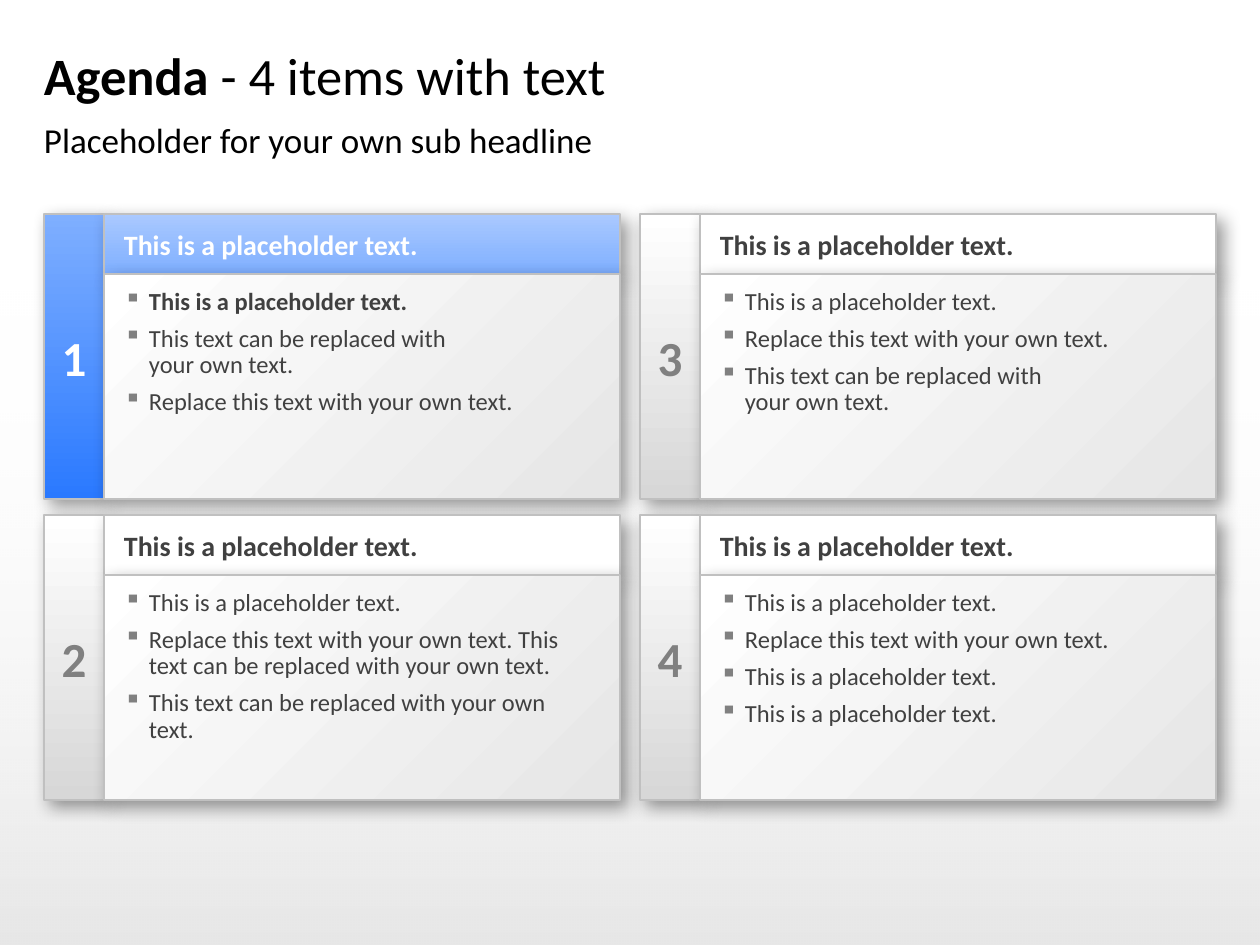
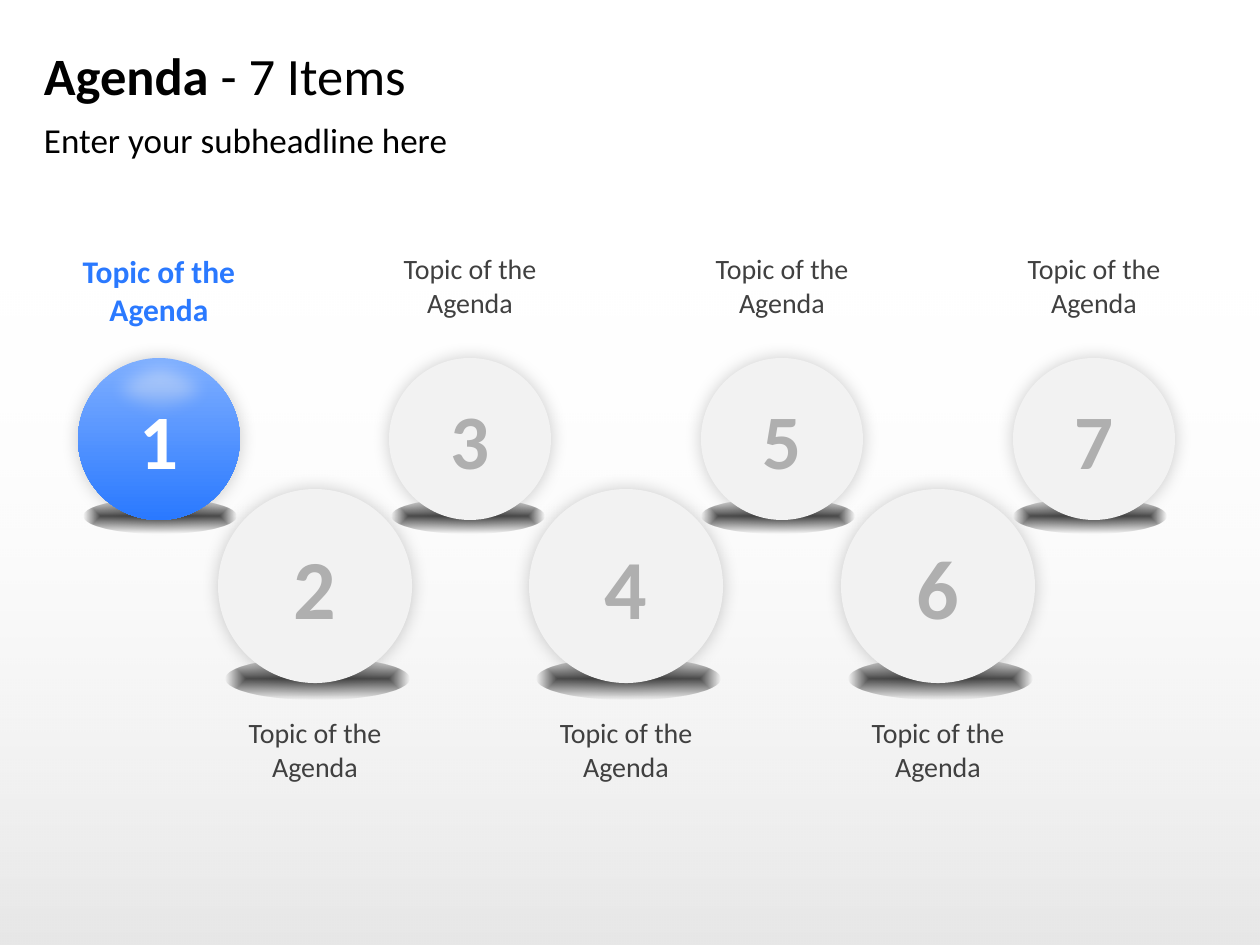
"""Build two agenda slides: four text cards and seven numbered spheres."""
from collections import namedtuple

from pptx import Presentation
from pptx import util as u
from pptx.dml.color import RGBColor
from pptx.enum import shapes, text
from pptx.oxml import parse_xml
from pptx.oxml.ns import nsdecls

FONT = "Calibri"
BLACK = RGBColor(0x00, 0x00, 0x00)
WHITE = RGBColor(0xFF, 0xFF, 0xFF)
BLUE = RGBColor(0x2A, 0x79, 0xFF)
MID_BLUE = RGBColor(0x7F, 0xAF, 0xFF)
PALE_BLUE = RGBColor(0xAA, 0xC9, 0xFF)
TEXT_GREY = RGBColor(0x40, 0x40, 0x40)
NUMBER_GREY = RGBColor(0x80, 0x80, 0x80)
SPHERE_NUMBER = RGBColor(0xAF, 0xAF, 0xAF)
BORDER = RGBColor(0xC0, 0xC0, 0xC0)
TAB_GREY = RGBColor(0xD7, 0xD7, 0xD7)
GLOSS_GREY = RGBColor(0xDD, 0xDD, 0xDD)
CARD_GREY = RGBColor(0xE6, 0xE6, 0xE6)
SPHERE_GREY = RGBColor(0xF2, 0xF2, 0xF2)

Gradient = namedtuple("Gradient", "start end angle start_alpha end_alpha", defaults=(100, 100))
Shadow = namedtuple("Shadow", "alpha blur distance angle")
CardStyle = namedtuple("CardStyle", "tab number header heading")
Row = namedtuple("Row", "left top size number_size label_top base base_top base_shifts numbers")

PAGE_FADE = Gradient(BLACK, WHITE, 270, 10, 0)
CARD_FILL = Gradient(CARD_GREY, WHITE, 225)
BASE_FILL = Gradient(BLACK, BLACK, None, 70, 0)
SPHERE_FILL = Gradient(MID_BLUE, BLUE, 90)
GLOSS_FILL = Gradient(GLOSS_GREY, WHITE, 270, 0, 68)
CARD_SHADOW = Shadow(40, 10, 5, 45)
SPHERE_SHADOW = Shadow(20, 10, 0, 315)
ACTIVE = CardStyle(Gradient(BLUE, MID_BLUE, 270), WHITE, Gradient(PALE_BLUE, MID_BLUE, 90), WHITE)
PLAIN = CardStyle(Gradient(TAB_GREY, WHITE, 270), NUMBER_GREY, WHITE, TEXT_GREY)

HEADING = "This is a placeholder text."
REPLACE = "Replace this text with your own text."
BROKEN = "This text can be replaced with\nyour own text."
CARDS = [
    [HEADING, BROKEN, REPLACE],
    [HEADING, REPLACE + " This text can be replaced with your own text.",
     "This text can be replaced with your own text."],
    [HEADING, REPLACE, BROKEN],
    [HEADING, REPLACE, HEADING, HEADING],
]
TOPIC = "Topic of the\nAgenda"
ROWS = [
    Row(78, 358, 162, 44, 252, (152, 34), 499, (6, 3, 1, 1), (1, 3, 5, 7)),
    Row(218, 489, 194, 48, 716, (183, 42), 658, (8, 8, 8), (2, 4, 6)),
]
SPHERE_SPAN = 935

MARGIN, CONTENT_WIDTH = 44, 1170
CARD_TOP, COLUMN_STEP, ROW_STEP = 214, 596, 301
TAB_WIDTH, CARD_WIDTH, CARD_HEIGHT, HEADER_HEIGHT = 60, 576, 285, 60
BULLET_INDENT = 25


def px(length):
    return u.Emu(round(length * 914400 / 126))


def paint(shape, fill):
    if isinstance(fill, RGBColor):
        shape.fill.solid()
        shape.fill.fore_color.rgb = fill
        return
    if fill.angle is None:
        direction = ('<a:path path="shape"><a:fillToRect l="50000" t="50000" '
                     'r="50000" b="50000"/></a:path>')
    else:
        direction = f'<a:lin ang="{fill.angle * 60000}" scaled="0"/>'
    stops = "".join(
        f'<a:gs pos="{position}"><a:srgbClr val="{color}"><a:alpha val="{alpha * 1000}"/></a:srgbClr></a:gs>'
        for position, color, alpha in ((0, fill.start, fill.start_alpha), (100000, fill.end, fill.end_alpha)))
    shape.fill.background()
    blank = shape._element.spPr.find("{*}noFill")
    blank.getparent().replace(blank, parse_xml(
        f'<a:gradFill {nsdecls("a")} rotWithShape="1"><a:gsLst>{stops}</a:gsLst>{direction}</a:gradFill>'))


def add_effect(shape, xml):
    shape._element.spPr.find("{*}effectLst").append(parse_xml(xml))


def add_block(parent, kind, place, fill, border=None, shadow=None):
    shape = parent.shapes.add_shape(kind, *map(px, place))
    shape.shadow.inherit = False
    paint(shape, fill)
    if border:
        shape.line.color.rgb = border
        shape.line.width = u.Pt(1)
    else:
        shape.line.fill.background()
    if shadow:
        add_effect(shape, f'<a:outerShdw {nsdecls("a")} blurRad="{u.Pt(shadow.blur)}" '
                   f'dist="{u.Pt(shadow.distance)}" dir="{shadow.angle * 60000}" algn="ctr" rotWithShape="0">'
                   f'<a:srgbClr val="{BLACK}"><a:alpha val="{shadow.alpha * 1000}"/></a:srgbClr></a:outerShdw>')
    return shape


def prepare_frame(shape, insets=(0, 0, 0, 0), anchor=text.MSO_ANCHOR.MIDDLE, wrap=True):
    frame = shape.text_frame
    frame.word_wrap = wrap
    frame.vertical_anchor = anchor
    frame.margin_left, frame.margin_top, frame.margin_right, frame.margin_bottom = map(px, insets)
    return frame


def style_para(para, size, color, bold=None, align=text.PP_ALIGN.LEFT):
    para.alignment = align
    para.font.name = FONT
    para.font.size = u.Pt(size)
    para.font.color.rgb = color
    para.font.bold = bold


def write_line(frame, words, size, color, bold=False, align=text.PP_ALIGN.CENTER):
    para = frame.paragraphs[0]
    para.text = words
    style_para(para, size, color, bold, align)


def write_bullets(frame, lines, bold_first):
    for index, line in enumerate(lines):
        para = frame.add_paragraph() if index else frame.paragraphs[0]
        para.text = line
        para.line_spacing = 0.9
        para.space_after = u.Pt(6)
        properties = para._p.get_or_add_pPr()
        properties.set("marL", str(px(BULLET_INDENT)))
        properties.set("indent", str(-px(BULLET_INDENT)))
        for xml in (f'<a:buClr {nsdecls("a")}><a:srgbClr val="{NUMBER_GREY}"/></a:buClr>',
                    f'<a:buChar {nsdecls("a")} char="▪"/>'):
            properties.append(parse_xml(xml))
        style_para(para, 14, TEXT_GREY, bold_first and index == 0)


def start_page(deck, title, subtitle):
    page = deck.slides.add_slide(deck.slide_layouts[6])
    add_block(page, shapes.MSO_SHAPE.RECTANGLE, (0, 278, 1260, 667), PAGE_FADE)
    box = page.shapes.add_textbox(*map(px, (MARGIN, 33, CONTENT_WIDTH, 84)))
    para = prepare_frame(box).paragraphs[0]
    for words, bold in (("Agenda ", True), (title, False)):
        span = para.add_run()
        span.text = words
        span.font.bold = bold
    style_para(para, 30, BLACK)
    box = page.shapes.add_textbox(*map(px, (MARGIN, 118, CONTENT_WIDTH, 47)))
    write_line(prepare_frame(box, anchor=text.MSO_ANCHOR.TOP), subtitle, 20, BLACK,
               align=text.PP_ALIGN.LEFT)
    return page


def add_card(page, index, lines):
    active = index == 0
    style = ACTIVE if active else PLAIN
    column, row = divmod(index, 2)
    left, top = MARGIN + column * COLUMN_STEP, CARD_TOP + row * ROW_STEP
    inner_left, inner_width = left + TAB_WIDTH, CARD_WIDTH - TAB_WIDTH
    group = page.shapes.add_group_shape()
    tab, header, body = (
        add_block(group, shapes.MSO_SHAPE.RECTANGLE, place, fill, BORDER, CARD_SHADOW)
        for place, fill in (
            ((left, top, TAB_WIDTH, CARD_HEIGHT), style.tab),
            ((inner_left, top, inner_width, HEADER_HEIGHT), style.header),
            ((inner_left, top + HEADER_HEIGHT, inner_width, CARD_HEIGHT - HEADER_HEIGHT), CARD_FILL)))
    write_line(prepare_frame(tab), str(index + 1), 28, style.number, True)
    write_line(prepare_frame(header, (20, 0, 0, 0)), HEADING, 16, style.heading, True,
               text.PP_ALIGN.LEFT)
    write_bullets(prepare_frame(body, (20, 15, 30, 15), text.MSO_ANCHOR.TOP), lines, active)


def add_sphere(page, row, index):
    number = row.numbers[index]
    active = number == 1
    left = row.left + SPHERE_SPAN * index // 3
    oval = shapes.MSO_SHAPE.OVAL
    label_width, label_height = (154, 77) if active else (135, 68)
    group = page.shapes.add_group_shape()
    label = group.shapes.add_textbox(*map(px, (
        left + (row.size - label_width) / 2, row.label_top, label_width, label_height)))
    write_line(prepare_frame(label, anchor=text.MSO_ANCHOR.TOP, wrap=False), TOPIC,
               18 if active else 16, BLUE if active else TEXT_GREY, active)
    add_block(group, oval, (left + row.base_shifts[index], row.base_top, *row.base), BASE_FILL)
    sphere = add_block(group, oval, (left, row.top, row.size, row.size),
                       SPHERE_FILL if active else SPHERE_GREY, shadow=SPHERE_SHADOW)
    write_line(prepare_frame(sphere), str(number), row.number_size,
               WHITE if active else SPHERE_NUMBER, True)
    if active:
        gloss = add_block(group, oval, (left + 19, row.top - 5, 127, 76), GLOSS_FILL)
        add_effect(gloss, f'<a:softEdge {nsdecls("a")} rad="{u.Pt(10)}"/>')


def main():
    deck = Presentation()
    deck.slide_width, deck.slide_height = px(1260), px(945)
    page = start_page(deck, "- 4 items with text", "Placeholder for your own sub headline")
    for index, lines in enumerate(CARDS):
        add_card(page, index, lines)
    page = start_page(deck, "- 7 Items", "Enter your subheadline here")
    for row in ROWS:
        for index in range(len(row.numbers)):
            add_sphere(page, row, index)
    deck.save("out.pptx")


if __name__ == "__main__":
    main()
